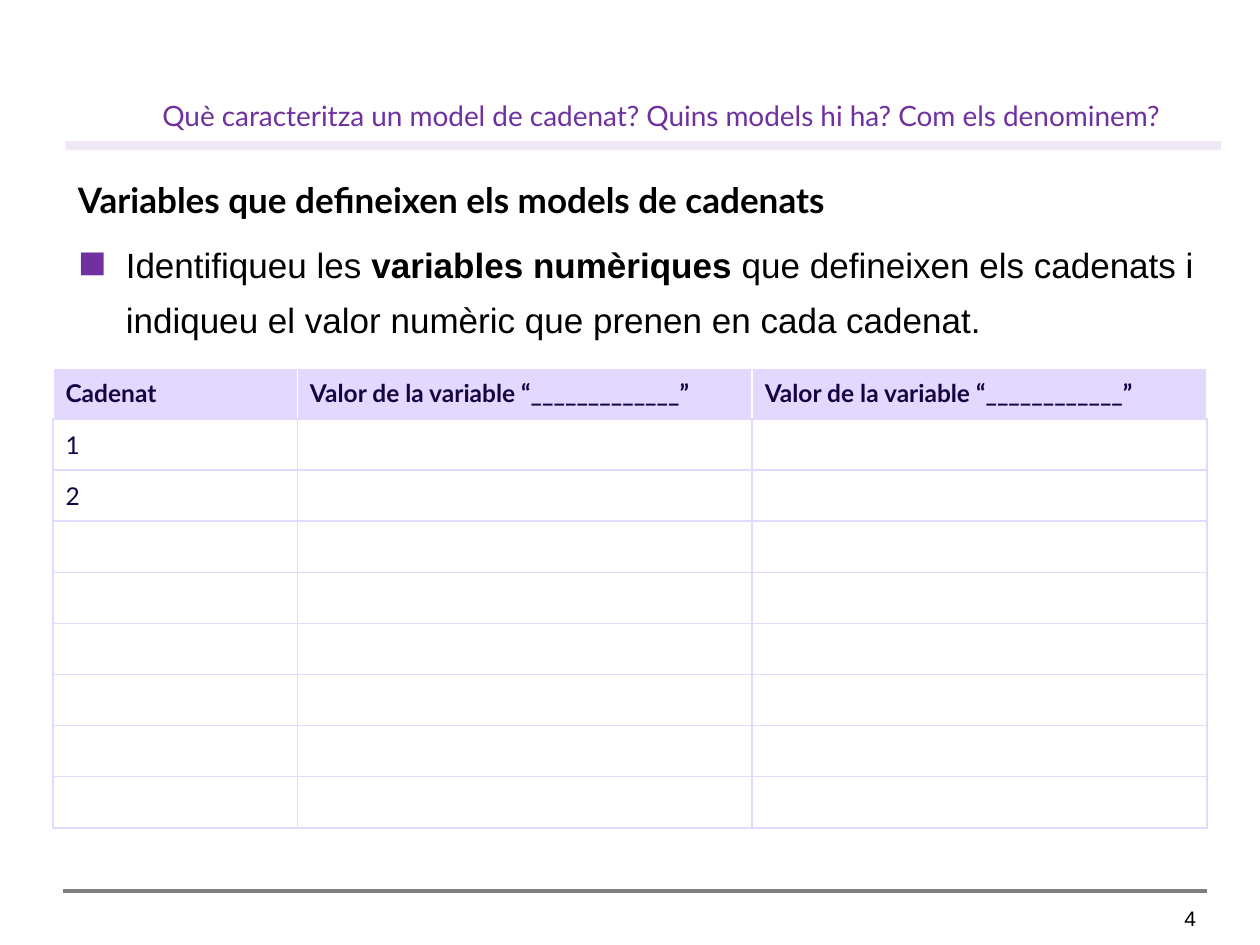
from lxml import etree
from pptx import Presentation
from pptx.dml.color import RGBColor
from pptx.enum.shapes import MSO_CONNECTOR, MSO_SHAPE
from pptx.enum.text import MSO_ANCHOR, PP_ALIGN
from pptx.oxml.ns import qn
from pptx.util import Inches, Pt

BLACK = RGBColor(0x00, 0x00, 0x00)
WHITE = RGBColor(0xFF, 0xFF, 0xFF)
PURPLE = RGBColor(0x70, 0x30, 0xA0)
LILAC = RGBColor(0xE3, 0xD8, 0xFD)
INDIGO = RGBColor(0x15, 0x03, 0x43)
GREY = RGBColor(0x7F, 0x7F, 0x7F)
STRAIGHT = MSO_CONNECTOR.STRAIGHT
RECTANGLE = MSO_SHAPE.RECTANGLE
TOP, MIDDLE, BOTTOM = MSO_ANCHOR.TOP, MSO_ANCHOR.MIDDLE, MSO_ANCHOR.BOTTOM
LEFT, RIGHT = PP_ALIGN.LEFT, PP_ALIGN.RIGHT

COLUMN_WIDTHS = (1.94, 3.61, 3.61)
ROW_COUNT = 9
TABLE_HEIGHT = 3.65
TABLE_TEXT = (
    ("Cadenat", "Valor de la variable “_____________”", "Valor de la variable “____________”"),
    ("1",),
    ("2",),
)


def style(para, name, size, color, bold=False):
    """Set the font of a whole paragraph."""
    font = para.font
    font.name, font.size, font.bold = name, Pt(size), bold
    font.color.rgb = color


def add_text_box(page, left, top, width, height, anchor=TOP):
    """Add a wrapping text box and return its text frame."""
    box = page.shapes.add_textbox(Inches(left), Inches(top), Inches(width), Inches(height))
    frame = box.text_frame
    frame.word_wrap = True
    frame.vertical_anchor = anchor
    return frame


def add_label(page, place, text, name, size, color, anchor=TOP, align=LEFT):
    """Add a text box holding one paragraph."""
    para = add_text_box(page, *place, anchor).paragraphs[0]
    para.text, para.alignment = text, align
    style(para, name, size, color)


def add_bullet(para, symbol, color, indent):
    """Give a paragraph a coloured bullet and a hanging indent."""
    props = para._p.get_or_add_pPr()
    props.set("marL", str(Inches(indent)))
    props.set("indent", str(-Inches(indent)))
    bullet_color = etree.SubElement(props, qn("a:buClr"))
    etree.SubElement(bullet_color, qn("a:srgbClr"), val=str(color))
    etree.SubElement(props, qn("a:buChar"), char=symbol)


def add_title_bar(page):
    """Add the translucent bar under the title."""
    bar = page.shapes.add_shape(RECTANGLE, Inches(0.52), Inches(1.12), Inches(9.17), Inches(0.07))
    bar.shadow.inherit = False
    bar.line.fill.background()
    bar.fill.solid()
    bar.fill.fore_color.rgb = PURPLE
    tint = bar._element.spPr.find(qn("a:solidFill")).find(qn("a:srgbClr"))
    etree.SubElement(tint, qn("a:alpha"), val="10000")


def add_footer_line(page):
    """Add the grey line above the page number."""
    line = page.shapes.add_connector(STRAIGHT, Inches(0.5), Inches(7.07), Inches(9.58), Inches(7.07))
    line.line.color.rgb = GREY
    line.line.width = Pt(2)
    etree.SubElement(line._element.spPr, qn("a:effectLst"))


def add_body(page):
    """Add the heading and the bulleted task."""
    frame = add_text_box(page, 0.52, 1.27, 9.18, 5.7)
    heading = frame.paragraphs[0]
    heading.text = "Variables que defineixen els models de cadenats"
    heading.line_spacing = 1.3
    style(heading, "Lato", 20, BLACK, True)
    task = frame.add_paragraph()
    add_bullet(task, "◼", PURPLE, 0.38)
    task.line_spacing, task.space_before = 1.3, Pt(6)
    style(task, "Arial", 20, BLACK)
    for text, bold in (
        ("Identifiqueu les ", False),
        ("variables numèriques", True),
        (" que defineixen els cadenats i indiqueu el valor numèric que prenen en cada cadenat.", False),
    ):
        span = task.add_run()
        span.text, span.font.bold = text, bold


def set_borders(cell, colors):
    """Draw one-point cell borders in left, right, top, bottom order."""
    props = cell._tc.get_or_add_tcPr()
    for side, color in zip("LRTB", colors):
        border = etree.SubElement(props, qn(f"a:ln{side}"), w=str(Pt(1)))
        fill = etree.SubElement(border, qn("a:solidFill"))
        etree.SubElement(fill, qn("a:srgbClr"), val=str(color))


def add_lock_table(page):
    """Add the table of locks with a lilac header row."""
    table = page.shapes.add_table(
        ROW_COUNT, len(COLUMN_WIDTHS), Inches(0.42), Inches(2.92),
        Inches(sum(COLUMN_WIDTHS)), Inches(TABLE_HEIGHT),
    ).table
    for column, width in zip(table.columns, COLUMN_WIDTHS):
        column.width = Inches(width)
    for index, row in enumerate(table.rows):
        header = index == 0
        for cell in row.cells:
            set_borders(cell, (WHITE, WHITE, WHITE, LILAC) if header else (LILAC,) * 4)
            cell.fill.solid()
            cell.fill.fore_color.rgb = LILAC if header else WHITE
            cell.vertical_anchor = MIDDLE
            style(cell.text_frame.paragraphs[0], "Lato", 14, INDIGO, header)
    for row, texts in zip(table.rows, TABLE_TEXT):
        for cell, text in zip(row.cells, texts):
            cell.text_frame.paragraphs[0].text = text


def main():
    """Build the slide and save it."""
    deck = Presentation()
    deck.slide_width, deck.slide_height = Inches(10), Inches(7.5)
    page = deck.slides.add_slide(deck.slide_layouts[6])
    add_label(page, (8.82, 7.14, 0.77, 0.3), "4", "Arial", 12, BLACK, align=RIGHT)
    add_title_bar(page)
    add_footer_line(page)
    add_body(page)
    add_label(
        page, (1.19, 0.4, 8.49, 0.7),
        "Què caracteritza un model de cadenat? Quins models hi ha? Com els denominem?",
        "Lato", 16, PURPLE, BOTTOM,
    )
    add_lock_table(page)
    deck.save("out.pptx")


if __name__ == "__main__":
    main()
